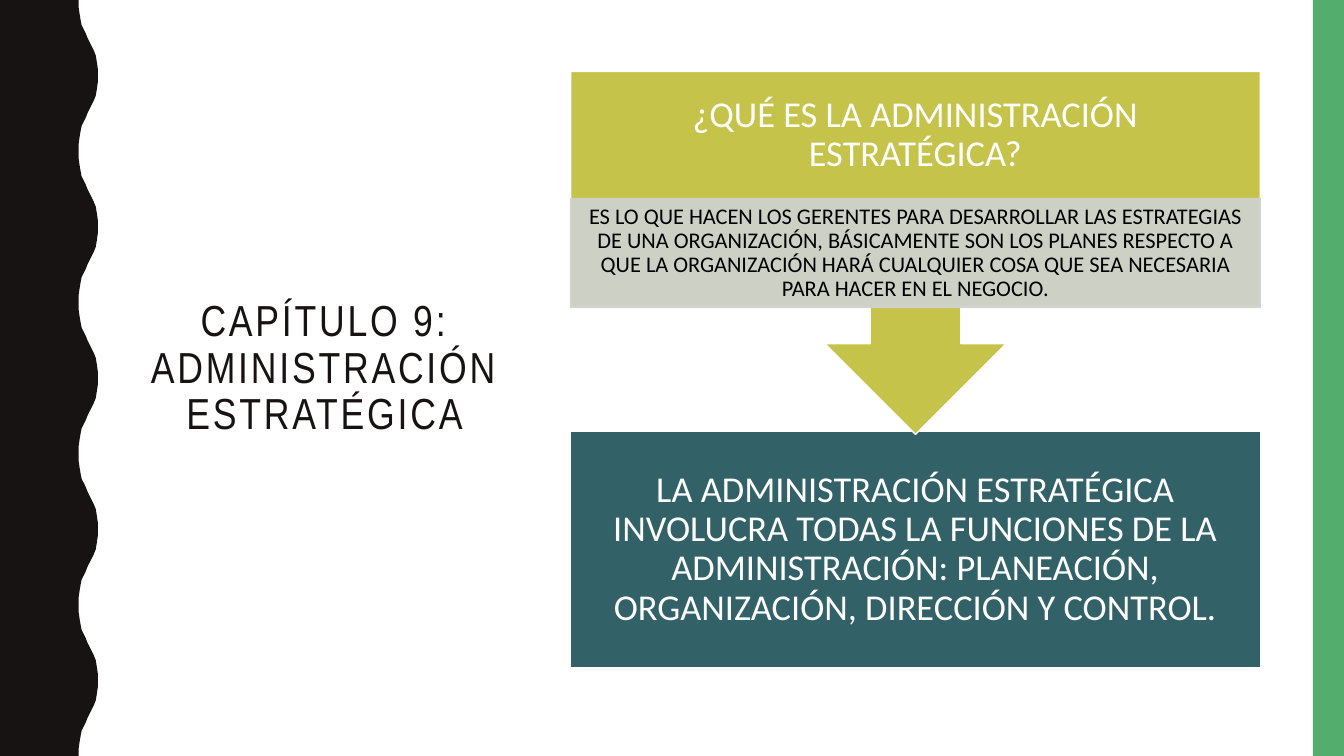
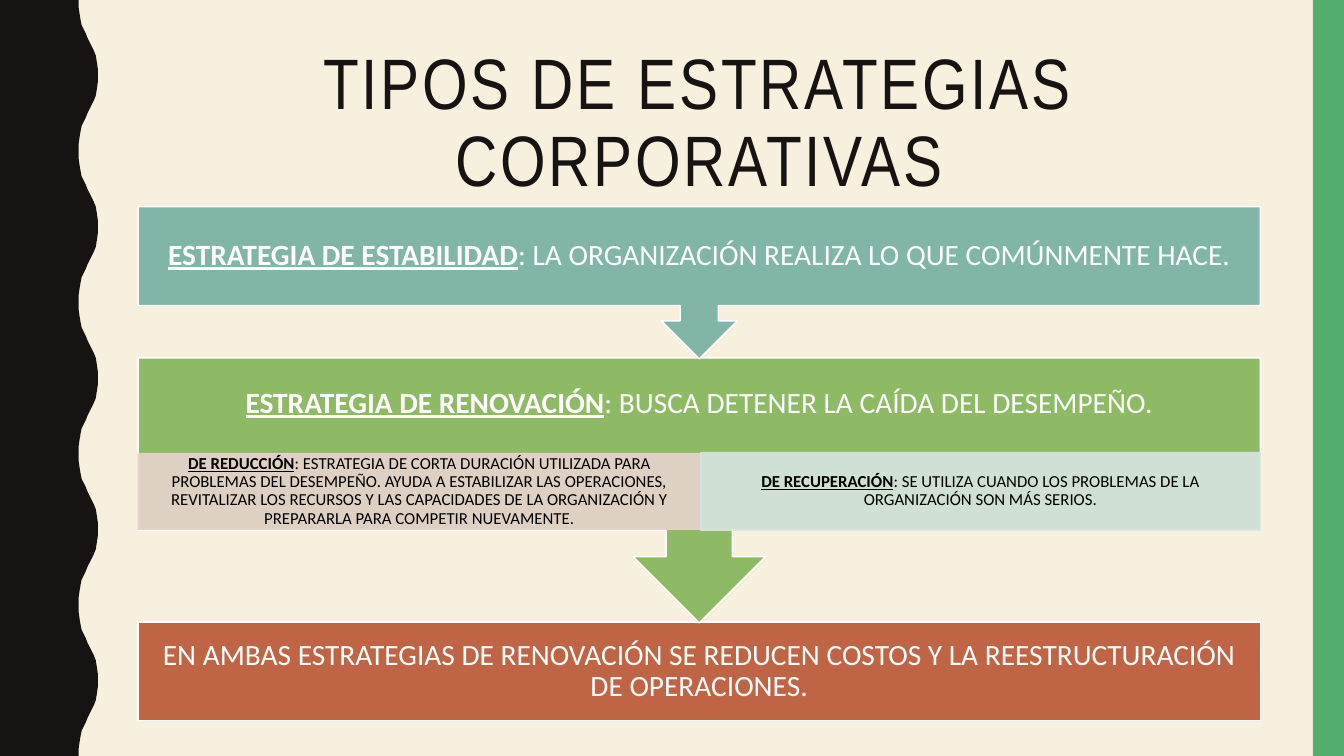
from lxml.etree import SubElement
from pptx import Presentation
from pptx.dml.color import RGBColor
from pptx.enum.shapes import MSO_SHAPE
from pptx.enum.text import MSO_ANCHOR, PP_ALIGN
from pptx.oxml.ns import qn
from pptx.util import Inches, Pt

COLORS = {
    "white": "FFFFFF", "cream": "F7F0DF", "ink": "171312", "black": "000000",
    "edge": "53AE6E", "lime": "C5C34A", "teal": "326267", "gray": "CED3D3",
    "rust": "BF6546", "green": "8EB965", "sage": "81B5A8",
    "rose": "E8D3CF", "mint": "D8E5E1",
}
RISE = [(78, 0), (78, 7), (79, 14), (80, 20), (81, 25), (83, 29), (85, 33),
        (87, 38), (89, 42), (91, 46), (93, 50), (95, 55), (96, 61), (97, 68)]
PERIOD = 150
HEIGHT = 750


def color(name):
    """Return the named colour."""
    return RGBColor.from_string(COLORS[name])


def paint(shape, fill, line=None, alpha=None):
    """Set fill, outline and optional opacity in percent."""
    shape.shadow.inherit = False
    shape.fill.solid()
    shape.fill.fore_color.rgb = color(fill)
    if line:
        shape.line.color.rgb = color(line)
        shape.line.width = Pt(1)
    else:
        shape.line.fill.background()
    if alpha:
        for node in shape._element.spPr.iter(qn("a:srgbClr")):
            SubElement(node, qn("a:alpha")).set("val", str(alpha * 1000))


def write(shape, runs, size, tint="white", inset=None, font="Calibri", gap=None):
    """Fill a shape with one centred paragraph of (text, strong) runs."""
    frame = shape.text_frame
    frame.word_wrap = True
    frame.vertical_anchor = MSO_ANCHOR.MIDDLE
    if inset:
        frame.margin_left = frame.margin_right = Inches(inset[0])
        frame.margin_top = frame.margin_bottom = Inches(inset[1])
    para = frame.paragraphs[0]
    para.alignment = PP_ALIGN.CENTER
    para.line_spacing = 0.9
    for text, strong in runs:
        run = para.add_run()
        run.text = text
        run.font.name = font
        run.font.size = Pt(size)
        run.font.color.rgb = color(tint)
        run.font.bold = run.font.underline = strong
        if gap:
            run._r.get_or_add_rPr().set("spc", str(gap * 100))


def add_box(slide, box, fill, line=None, alpha=None, kind=MSO_SHAPE.RECTANGLE):
    """Add a painted preset shape."""
    shape = slide.shapes.add_shape(kind, *map(Inches, box))
    paint(shape, fill, line, alpha)
    return shape


def add_text(slide, box, runs, size, **style):
    """Add a text box."""
    write(slide.shapes.add_textbox(*map(Inches, box)), runs, size, **style)


def add_block(slide, box, fill, runs, size, pad):
    """Add a solid block with white text."""
    write(add_box(slide, box, fill, "white"), runs, size, inset=(pad, pad))


def add_step(slide, box, head, fill, runs, size, pad):
    """Add a down arrow callout whose text sits in its top part."""
    shape = add_box(slide, box, fill, "white", kind=MSO_SHAPE.UP_ARROW_CALLOUT)
    shape.rotation = 180
    add_text(slide, (*box[:3], head), runs, size, inset=(pad, pad))


def add_note(slide, box, fill, runs, size, pad):
    """Add a pale detail panel with black text."""
    shape = add_box(slide, box, fill, fill, 90)
    write(shape, runs, size, "black", (pad, 0.02))


def add_wave(slide):
    """Draw the wavy band on the left edge."""
    fall = [(x, PERIOD - y) for x, y in reversed(RISE[1:])]
    bump = RISE + [(97, 75)] + fall
    points = [(x, y + top) for top in range(0, HEIGHT, PERIOD) for x, y in bump]
    pen = slide.shapes.build_freeform(0, 0, scale=Inches(0.01))
    pen.add_line_segments(points + [(78, HEIGHT), (0, HEIGHT)], close=True)
    paint(pen.convert_to_shape(), "ink")


def add_slide(deck, back, title, box, size):
    """Add a slide with background, side bands and title."""
    slide = deck.slides.add_slide(deck.slide_layouts[6])
    slide.background.fill.solid()
    slide.background.fill.fore_color.rgb = color(back)
    add_wave(slide)
    add_box(slide, (13.02, 0, 0.31, 7.5), "edge")
    add_text(slide, box, [(title, False)], size, tint="ink",
             font="Arial Narrow", gap=2)
    return slide


def add_intro(deck):
    """Build the chapter slide."""
    slide = add_slide(deck, "white", "CAPÍTULO 9: ADMINISTRACIÓN ESTRATÉGICA",
                      (1.37, 0.7, 3.7, 5.92), 31)
    left, width, size, pad = 5.66, 6.84, 26, 0.2
    add_block(slide, (left, 4.28, width, 2.34), "teal", [
        ("LA ADMINISTRACIÓN ESTRATÉGICA INVOLUCRA TODAS LA FUNCIONES DE LA "
         "ADMINISTRACIÓN: PLANEACIÓN, ORGANIZACIÓN, DIRECCIÓN Y CONTROL.", False),
    ], size, pad)
    add_step(slide, (left, 0.71, width, 3.6), 1.26, "lime", [
        ("¿QUÉ ES LA ADMINISTRACIÓN ESTRATÉGICA?", False),
    ], size, pad)
    add_note(slide, (left, 1.97, width, 1.08), "gray", [
        ("ES LO QUE HACEN LOS GERENTES PARA DESARROLLAR LAS ESTRATEGIAS DE UNA "
         "ORGANIZACIÓN, BÁSICAMENTE SON LOS PLANES RESPECTO A QUE LA "
         "ORGANIZACIÓN HARÁ CUALQUIER COSA QUE SEA NECESARIA PARA HACER EN EL "
         "NEGOCIO.", False),
    ], 16, 0.12)


def add_types(deck):
    """Build the slide on types of strategy."""
    left, width, size, pad = 1.37, 11.13, 21, 0.16
    slide = add_slide(deck, "cream", "TIPOS DE ESTRATEGIAS CORPORATIVAS",
                      (left, 0.42, width, 1.63), 51)
    add_block(slide, (left, 6.17, width, 0.98), "rust", [
        ("EN AMBAS ESTRATEGIAS DE RENOVACIÓN SE REDUCEN COSTOS Y LA "
         "REESTRUCTURACIÓN DE OPERACIONES.", False),
    ], size, pad)
    add_step(slide, (left, 3.55, width, 2.63), 0.92, "green", [
        ("ESTRATEGIA DE RENOVACIÓN", True),
        (": BUSCA DETENER LA CAÍDA DEL DESEMPEÑO.", False),
    ], size, pad)
    add_note(slide, (left, 4.5, 5.58, 0.75), "rose", [
        ("DE REDUCCIÓN", True),
        (": ESTRATEGIA DE CORTA DURACIÓN UTILIZADA PARA PROBLEMAS DEL "
         "DESEMPEÑO. AYUDA A ESTABILIZAR LAS OPERACIONES, REVITALIZAR LOS "
         "RECURSOS Y LAS CAPACIDADES DE LA ORGANIZACIÓN Y PREPARARLA PARA "
         "COMPETIR NUEVAMENTE.", False),
    ], 12, 0.09)
    add_note(slide, (6.95, 4.49, 5.55, 0.77), "mint", [
        ("DE RECUPERACIÓN", True),
        (": SE UTILIZA CUANDO LOS PROBLEMAS DE LA ORGANIZACIÓN SON MÁS SERIOS.",
         False),
    ], 12, 0.09)
    add_step(slide, (left, 2.05, width, 1.51), 0.98, "sage", [
        ("ESTRATEGIA DE ESTABILIDAD", True),
        (": LA ORGANIZACIÓN REALIZA LO QUE COMÚNMENTE HACE.", False),
    ], size, pad)


def main():
    """Build and save the deck."""
    deck = Presentation()
    deck.slide_width = Inches(13.33)
    deck.slide_height = Inches(7.5)
    add_intro(deck)
    add_types(deck)
    deck.save("out.pptx")


if __name__ == "__main__":
    main()
